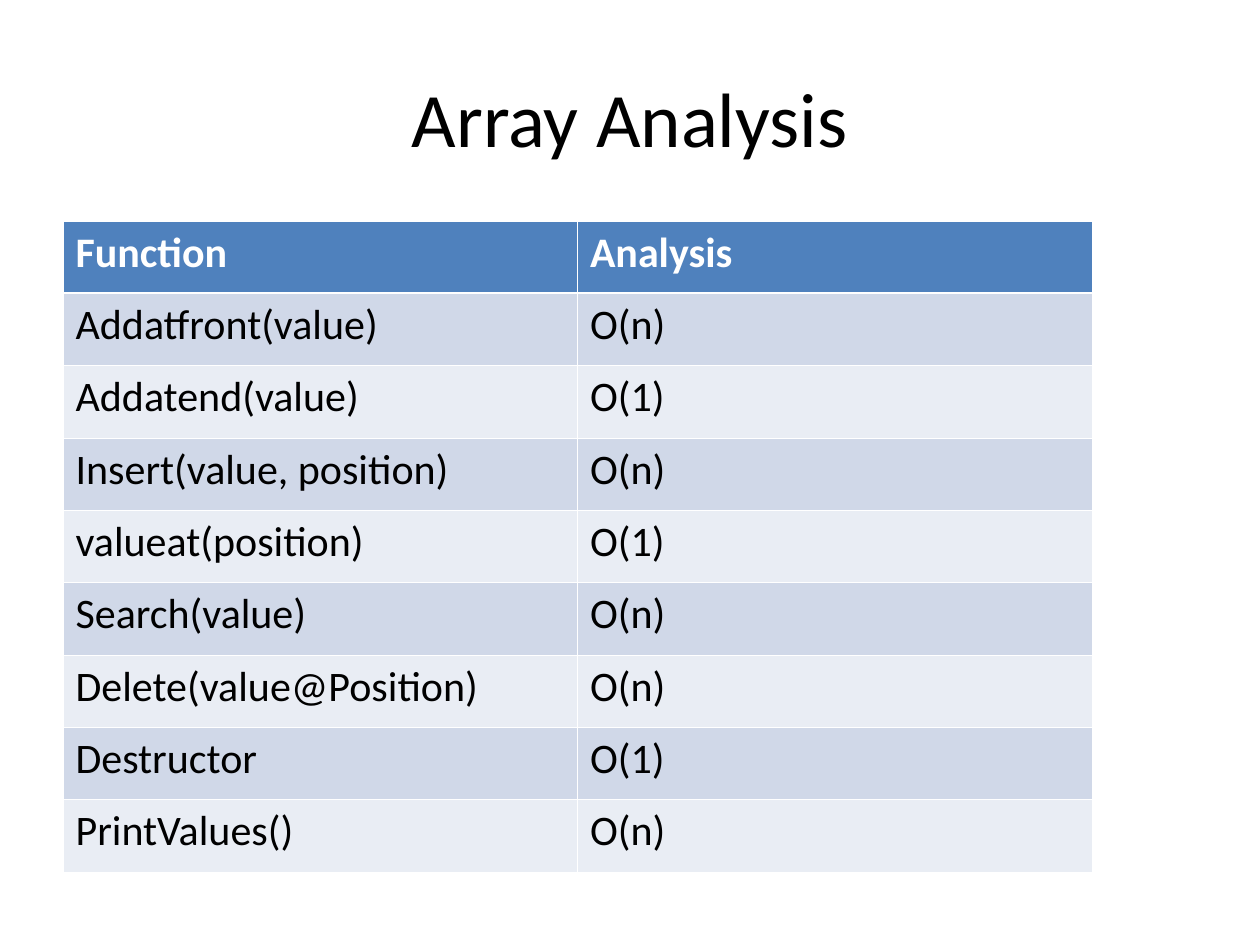
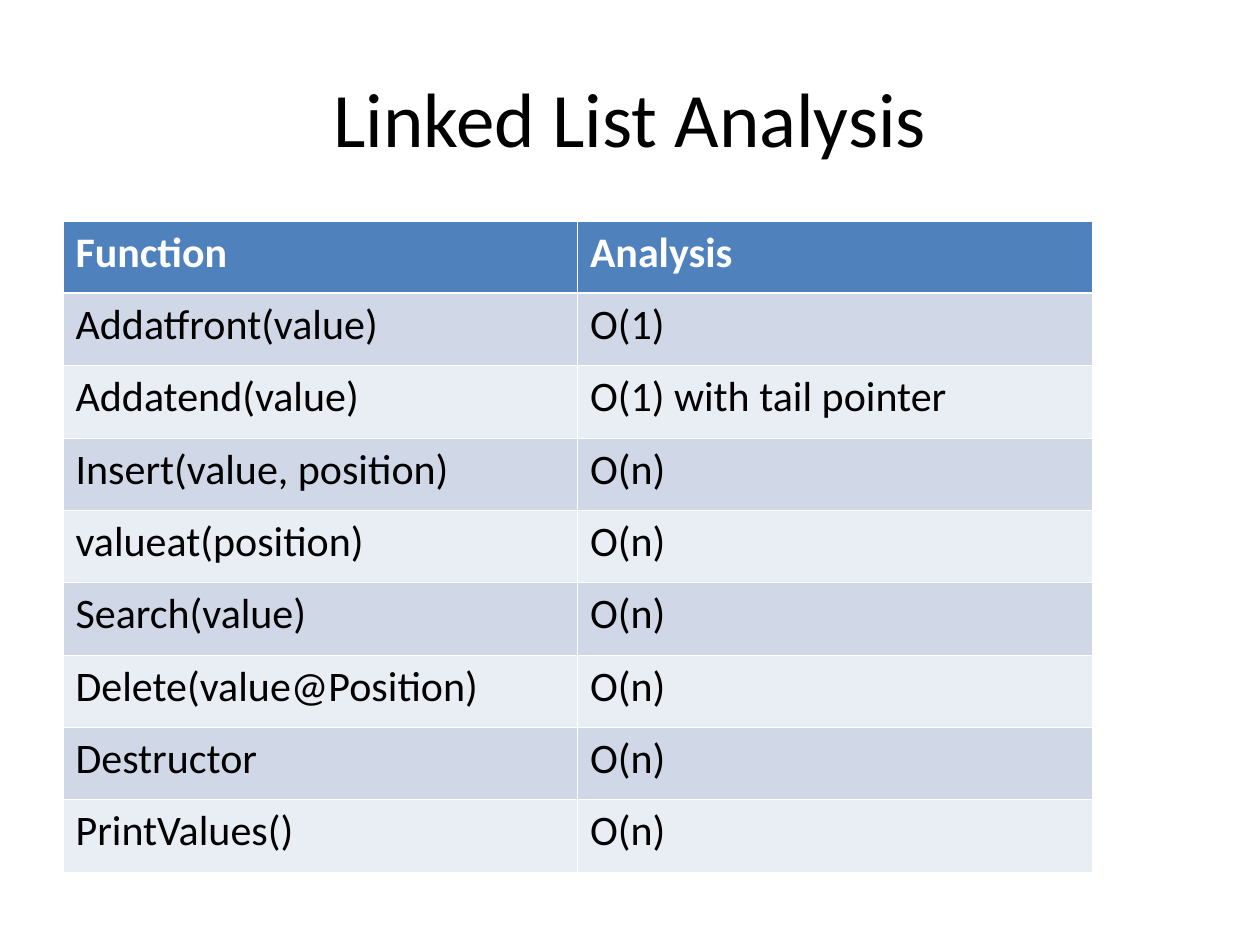
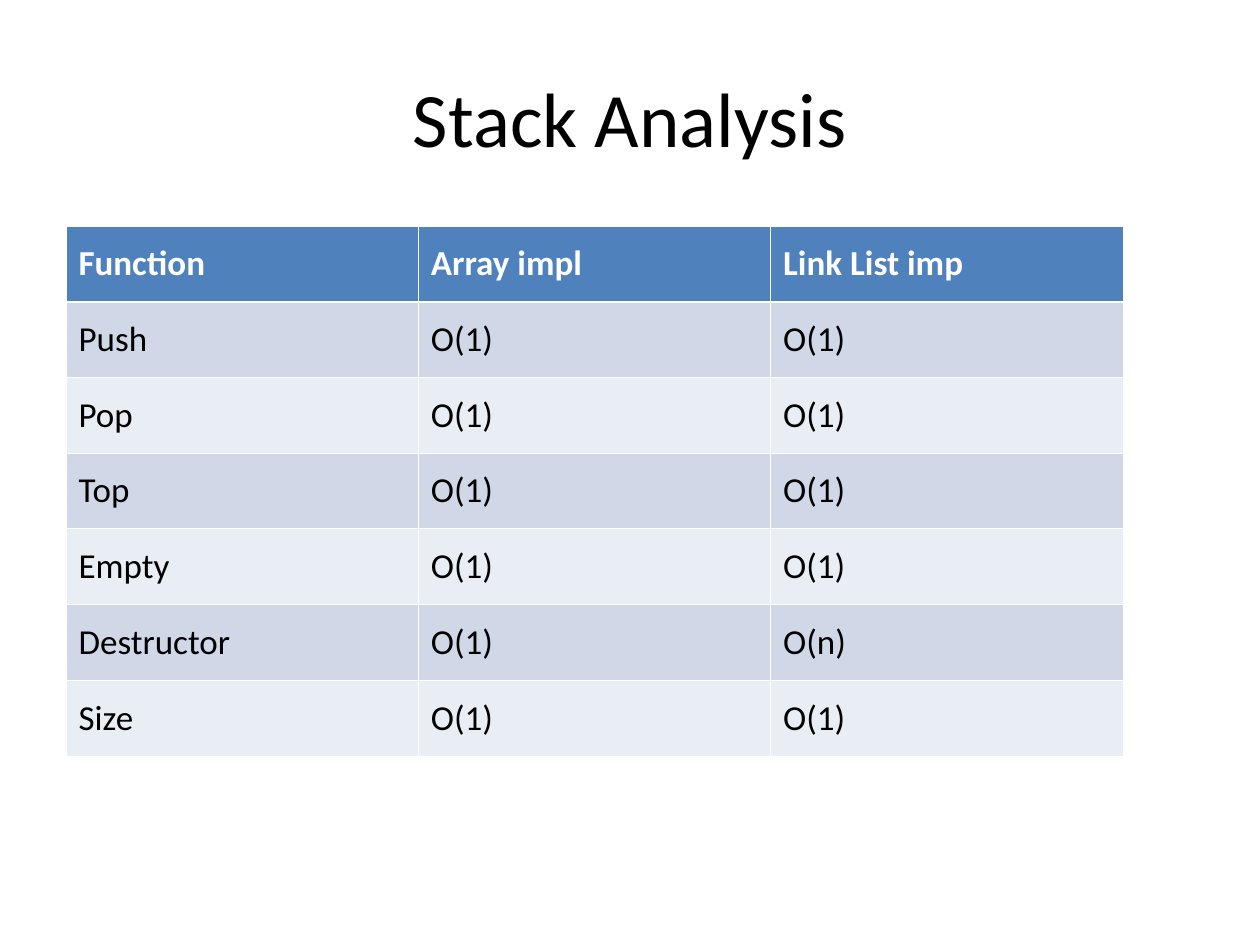
"""Build three slides of tables comparing the cost of data structure operations."""
import pptx
import pptx.dml.color
import pptx.enum.text
import pptx.oxml
import pptx.oxml.ns
import pptx.util

EMU_PER_PX = 914400 / 126
FONT = "Calibri"
WHITE = pptx.dml.color.RGBColor(0xFF, 0xFF, 0xFF)
BLACK = pptx.dml.color.RGBColor(0x00, 0x00, 0x00)
HEADER_BLUE = pptx.dml.color.RGBColor(0x4F, 0x81, 0xBD)
DARK_BAND = pptx.dml.color.RGBColor(0xD0, 0xD8, 0xE8)
LIGHT_BAND = pptx.dml.color.RGBColor(0xE9, 0xED, 0xF4)
THIN, THICK = 0.45, 1.47
TOP = pptx.enum.text.MSO_ANCHOR.TOP
MIDDLE = pptx.enum.text.MSO_ANCHOR.MIDDLE

LIST_FUNCTIONS = [
    "Addatfront(value)", "Addatend(value)", "Insert(value, position)",
    "valueat(position)", "Search(value)", "Delete(value@Position)",
    "Destructor", "PrintValues()",
]
ARRAY_COSTS = ["O(n)", "O(1)", "O(n)", "O(1)", "O(n)", "O(n)", "O(1)", "O(n)"]
LINKED_COSTS = ["O(1)", "O(1) with tail pointer"] + ["O(n)"] * 6
STACK_FUNCTIONS = ["Push", "Pop", "Top", "Empty", "Destructor", "Size"]
STACK_ARRAY_COSTS = ["O(1)"] * 6
STACK_LINKED_COSTS = ["O(1)"] * 4 + ["O(n)", "O(1)"]

LIST_FORMAT = {"box": (63, 221, 1029, 651), "size": 24, "anchor": TOP}
STACK_FORMAT = {"box": (66, 226, 1057, 530), "size": 20, "anchor": MIDDLE}
ANALYSES = [
    ("Array Analysis", ["Function", "Analysis"],
     [LIST_FUNCTIONS, ARRAY_COSTS], LIST_FORMAT),
    ("Linked List Analysis", ["Function", "Analysis"],
     [LIST_FUNCTIONS, LINKED_COSTS], LIST_FORMAT),
    ("Stack Analysis", ["Function", "Array impl", "Link List imp"],
     [STACK_FUNCTIONS, STACK_ARRAY_COSTS, STACK_LINKED_COSTS], STACK_FORMAT),
]


def px(length):
    return round(length * EMU_PER_PX)


def set_font(paragraph, color, **values):
    for name, value in {"name": FONT, **values}.items():
        setattr(paragraph.font, name, value)
    paragraph.font.color.rgb = color


deck = pptx.Presentation()
deck.slide_width, deck.slide_height = px(1260), px(945)

for heading, headers, columns, layout in ANALYSES:
    slide = deck.slides.add_slide(deck.slide_layouts.get_by_name("Title Only"))
    title = slide.shapes.title
    title_box = {"left": 63, "top": 38, "width": 1134, "height": 157}
    for side, length in title_box.items():
        setattr(title, side, px(length))
    title.text_frame.text = heading
    title.text_frame.vertical_anchor = MIDDLE
    title_line = title.text_frame.paragraphs[0]
    title_line.alignment = pptx.enum.text.PP_ALIGN.CENTER
    set_font(title_line, BLACK, size=pptx.util.Pt(44))

    rows = [headers, *zip(*columns)]
    box = [px(length) for length in layout["box"]]
    costs = slide.shapes.add_table(len(rows), len(headers), *box).table
    costs.horz_banding = False
    for row_index, row in enumerate(rows):
        is_header = row_index == 0
        band = HEADER_BLUE if is_header else (LIGHT_BAND, DARK_BAND)[row_index % 2]
        borders = {
            "lnL": THIN,
            "lnR": THIN,
            "lnT": THICK if row_index == 1 else THIN,
            "lnB": THICK if is_header else THIN,
        }
        for column_index, entry in enumerate(row):
            cell = costs.cell(row_index, column_index)
            cell.text = entry
            cell.vertical_anchor = layout["anchor"]
            set_font(cell.text_frame.paragraphs[0], WHITE if is_header else BLACK,
                     size=pptx.util.Pt(layout["size"]), bold=is_header)
            cell.fill.solid()
            cell.fill.fore_color.rgb = band
            properties = cell._tc.get_or_add_tcPr()
            for position, (edge, points) in enumerate(borders.items()):
                properties.insert(position, pptx.oxml.parse_xml(
                    f'<a:{edge} {pptx.oxml.ns.nsdecls("a")} w="{pptx.util.Pt(points)}">'
                    f'<a:solidFill><a:srgbClr val="{WHITE}"/></a:solidFill></a:{edge}>'))

deck.save("out.pptx")
